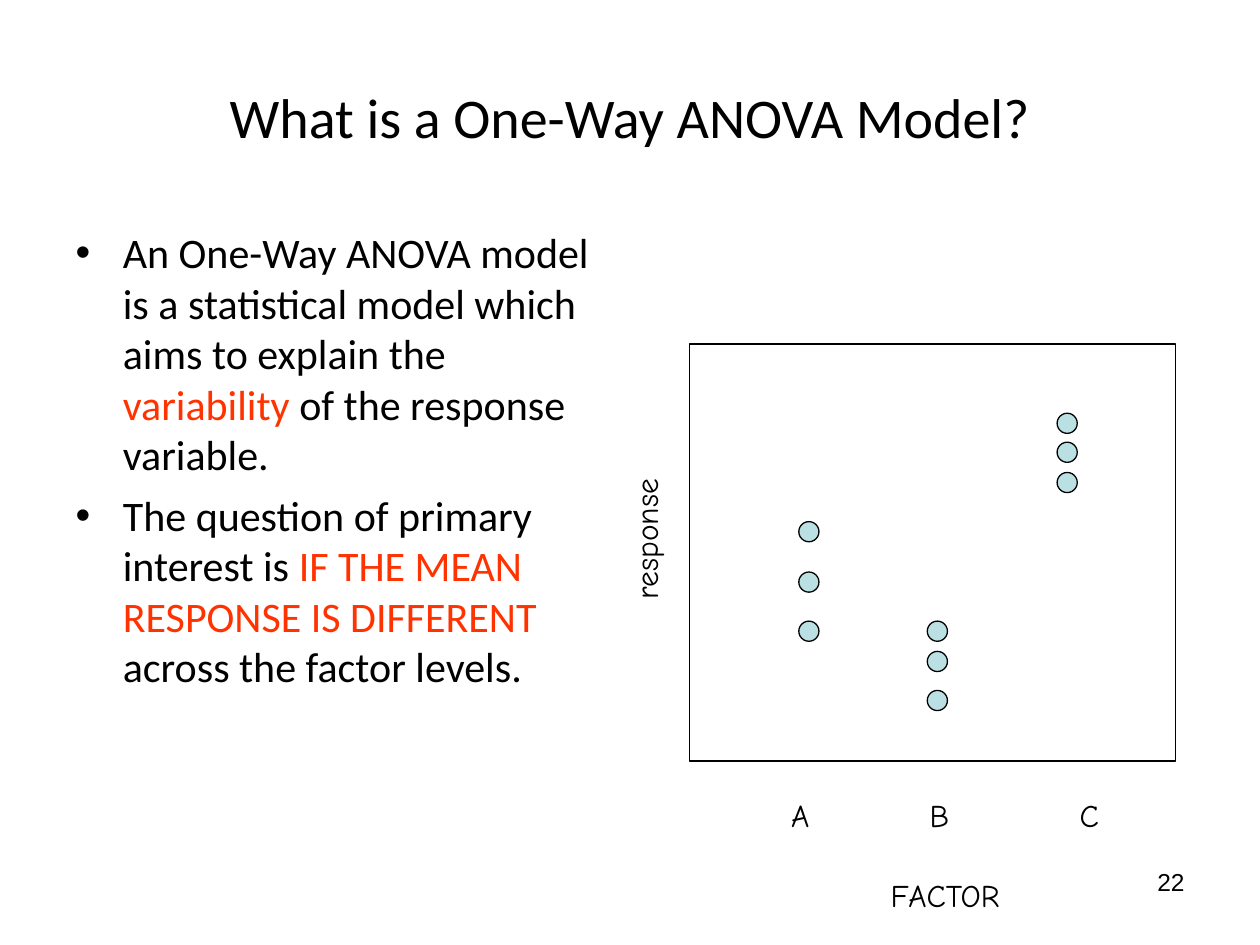
from pptx import Presentation
from pptx.dml.color import RGBColor
from pptx.enum import shapes, text
from pptx.util import Inches, Pt

BLACK, RED, PALE_BLUE = "000000", "FF3300", "BBE0E3"
DOT = 0.16

# Each paragraph is a list of (words, colour) spans.
POINTS = [
    [("An One-Way ANOVA model is a statistical model which aims to explain the ", BLACK),
     ("variability", RED),
     (" of the response variable.", BLACK)],
    [("The question of primary interest is ", BLACK),
     ("IF THE MEAN RESPONSE IS DIFFERENT", RED),
     (" across the factor levels.", BLACK)],
]

# Factor level: label offset, dot offset, heights of its dots, all from the plot's corner.
LEVELS = {
    "A": (0.71, 0.87, (1.41, 1.81, 2.2)),
    "B": (1.81, 1.89, (2.2, 2.44, 2.75)),
    "C": (3.0, 2.92, (0.55, 0.78, 1.02)),
}


def rgb(colour):
    return RGBColor.from_string(colour)


def place(shape, box):
    shape.left, shape.top, shape.width, shape.height = map(Inches, box)


def style(span, font, size, colour=BLACK):
    span.font.name = font
    span.font.size = Pt(size)
    span.font.color.rgb = rgb(colour)


def add_label(page, words, box, font="Comic Neue", size=18, align=text.PP_ALIGN.LEFT):
    label = page.shapes.add_textbox(*map(Inches, box))
    label.text_frame.word_wrap = True
    label.text_frame.text = words
    para = label.text_frame.paragraphs[0]
    para.alignment = align
    style(para.runs[0], font, size)
    return label


def add_outlined(page, kind, box, fill=None):
    shape = page.shapes.add_shape(kind, *map(Inches, box))
    shape.shadow.inherit = False
    if fill:
        shape.fill.solid()
        shape.fill.fore_color.rgb = rgb(fill)
    else:
        shape.fill.background()
    shape.line.color.rgb = rgb(BLACK)
    shape.line.width = Pt(0.75)


def fill_title(page, box):
    title = page.shapes.title
    place(title, box)
    frame = title.text_frame
    frame.text = "What is a One-Way ANOVA Model?"
    frame.vertical_anchor = text.MSO_ANCHOR.MIDDLE
    frame.paragraphs[0].alignment = text.PP_ALIGN.CENTER
    style(frame.paragraphs[0].runs[0], "Calibri", 32)


def fill_points(page, box):
    body = page.placeholders[1]
    place(body, box)
    frame = body.text_frame
    frame.auto_size = text.MSO_AUTO_SIZE.NONE
    for index, spans in enumerate(POINTS):
        para = frame.add_paragraph() if index else frame.paragraphs[0]
        para.space_before = Pt(6)
        for words, colour in spans:
            span = para.add_run()
            span.text = words
            style(span, "Calibri", 24, colour)


def add_dot_plot(page, box):
    """Draw the response for each factor level, with labels around the frame."""
    left, top, width, height = box
    add_outlined(page, shapes.MSO_SHAPE.RECTANGLE, box)
    for level, (label_x, dot_x, dot_heights) in LEVELS.items():
        for dot_y in dot_heights:
            add_outlined(page, shapes.MSO_SHAPE.OVAL,
                         (left + dot_x, top + dot_y, DOT, DOT), PALE_BLUE)
        add_label(page, level, (left + label_x, top + height + 0.23, 0.39, 0.4))
    add_label(page, "FACTOR", (left + 1.5, top + height + 0.86, 1.42, 0.4))
    response = add_label(page, "response", (left - 1.53, top + 0.74, 2.37, 0.4))
    response.rotation = 270


def main():
    deck = Presentation()
    deck.slide_width, deck.slide_height = Inches(10), Inches(7.5)
    page = deck.slides.add_slide(deck.slide_layouts.get_by_name("Title and Content"))
    fill_title(page, (0.5, 0.3, 9, 1.25))
    fill_points(page, (0.5, 1.75, 4.42, 4.95))
    add_dot_plot(page, (5.47, 2.73, 3.86, 3.31))
    add_label(page, "22", (7.17, 6.83, 2.33, 0.52), "Arial", 14, text.PP_ALIGN.RIGHT)
    deck.save("out.pptx")


if __name__ == "__main__":
    main()
